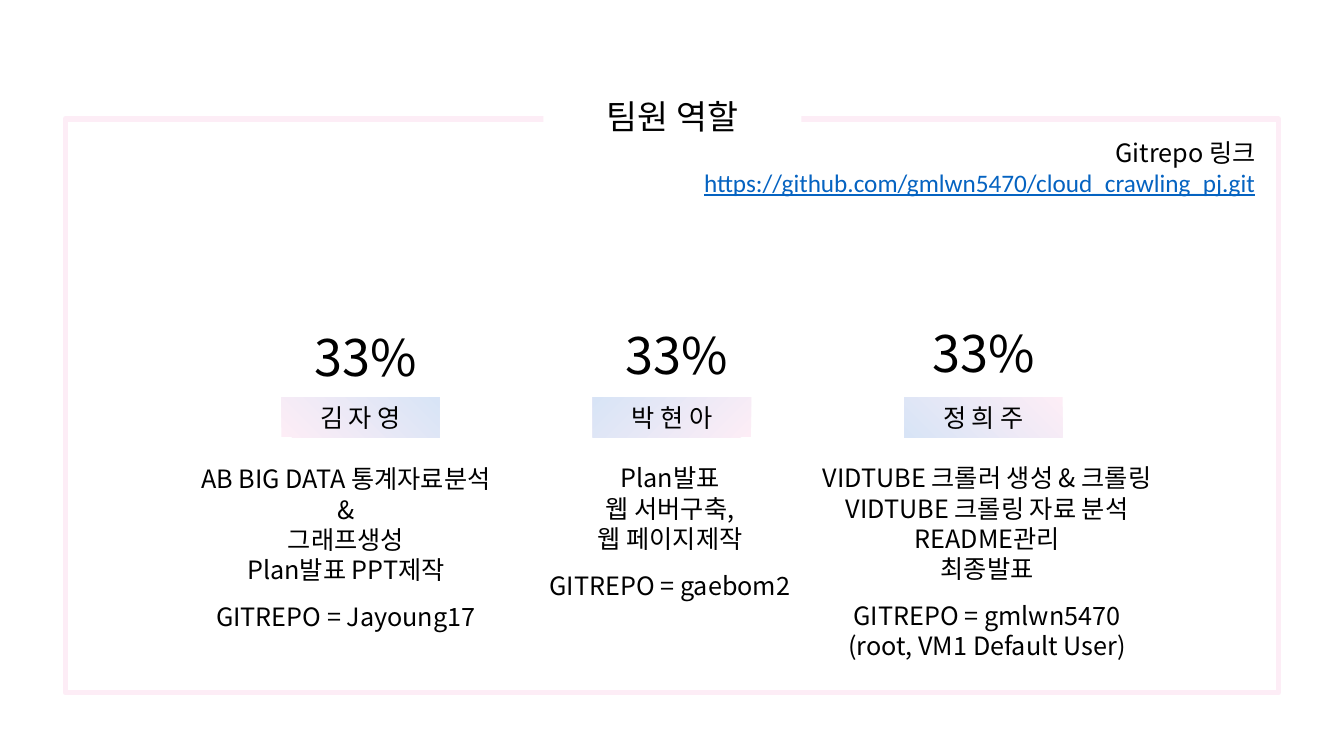
import pptx
import pptx.util
import pptx.dml.color
import pptx.enum.shapes
import pptx.enum.text
import pptx.oxml
import pptx.oxml.ns

Inches = pptx.util.Inches
Pt = pptx.util.Pt
RGB = pptx.dml.color.RGBColor.from_string
RECT = pptx.enum.shapes.MSO_SHAPE.RECTANGLE
ALIGN = pptx.enum.text.PP_ALIGN
ANCHOR = pptx.enum.text.MSO_ANCHOR

FONT = "Noto Sans CJK KR"
LATIN = "Calibri"
COLORS = {"text": "000000", "white": "FFFFFF", "pink": "FDEDF6",
          "blue": "D8E4F6", "link": "0563C1"}

MEMBERS = [
    {"name": "김 자 영", "angle": 45,
     "share": (2.79, 3.05), "role": (1.47, 4.55, 3.92, 1.78),
     "tasks": ["AB BIG DATA 통계자료분석", "&", "그래프생성", "Plan발표 PPT제작"],
     "account": ["GITREPO = Jayoung17"]},
    {"name": "박 현 아", "angle": 135,
     "share": (5.88, 3.03), "role": (5.29, 4.54, 2.71, 1.48),
     "tasks": ["Plan발표", "웹 서버구축,", "웹 페이지제작"],
     "account": ["GITREPO = gaebom2"]},
    {"name": "정 희 주", "angle": 225,
     "share": (8.92, 3.01), "role": (7.95, 4.54, 3.68, 2.12),
     "tasks": ["VIDTUBE 크롤러 생성 & 크롤링", "VIDTUBE 크롤링 자료 분석",
               "README관리", "최종발표"],
     "account": ["GITREPO = gmlwn5470", "(root, VM1 Default User)"]},
]


def style(p, size, align, color="text", font=FONT):
    p.alignment = align
    p.font.size = Pt(size)
    p.font.name = font
    p.font.color.rgb = RGB(COLORS[color])
    ea = pptx.oxml.parse_xml(
        f'<a:ea {pptx.oxml.ns.nsdecls("a")} typeface="{font}"/>')
    p.font._element.find(pptx.oxml.ns.qn("a:latin")).addnext(ea)


def write(sp, lines, size, align=ALIGN.CENTER, anchor=ANCHOR.TOP):
    tf = sp.text_frame
    tf.word_wrap = True
    tf.vertical_anchor = anchor
    for i, line in enumerate(lines):
        p = tf.paragraphs[0] if i == 0 else tf.add_paragraph()
        p.add_run().text = line
        style(p, size, align)
    return tf.paragraphs


def add_text(slide, box, lines, size, **kw):
    sp = slide.shapes.add_textbox(*map(Inches, box))
    return write(sp, lines, size, **kw)


def add_rect(slide, box):
    sp = slide.shapes.add_shape(RECT, *map(Inches, box))
    sp.shadow.inherit = False
    sp.line.fill.background()
    return sp


def add_frame(slide, x, y, w, h):
    sp = add_rect(slide, (x, y, w, h))
    sp.fill.background()
    sp.line.color.rgb = RGB(COLORS["pink"])
    sp.line.width = Pt(4)
    title = add_rect(slide, (x + 4.74, y - 0.28, 2.56, 0.5))
    title.fill.solid()
    title.fill.fore_color.rgb = RGB(COLORS["white"])
    write(title, ["팀원 역할"], 24, anchor=ANCHOR.MIDDLE)


def add_repository(slide, x, y, w, h):
    ps = add_text(slide, (x, y, w, h),
                  ["Gitrepo 링크", "https://github.com/gmlwn5470/cloud_crawling_pj.git"],
                  18, align=ALIGN.RIGHT)
    url = ps[1]
    url.font.name = LATIN
    url.font.color.rgb = RGB(COLORS["link"])
    url.font.underline = True


def add_member(slide, x, y, w, h, member):
    sp = add_rect(slide, (x, y, w, h))
    sp.fill.gradient()
    sp.fill.gradient_angle = member["angle"]
    for stop, key, pos in zip(sp.fill.gradient_stops, ("pink", "blue"), (0, 1)):
        stop.color.rgb = RGB(COLORS[key])
        stop.position = pos
    write(sp, [member["name"]], 18, anchor=ANCHOR.MIDDLE)
    add_text(slide, (*member["share"], 1.67, 0.97), ["33%"], 36, anchor=ANCHOR.MIDDLE)
    tasks = member["tasks"]
    ps = add_text(slide, member["role"], tasks + member["account"], 18)
    ps[len(tasks)].space_before = Pt(12)


def main():
    prs = pptx.Presentation()
    prs.slide_width = Inches(13.33)
    prs.slide_height = Inches(7.5)
    slide = prs.slides.add_slide(prs.slide_layouts[6])
    add_frame(slide, 0.65, 1.18, 12.03, 5.69)
    for i, member in enumerate(MEMBERS):
        add_member(slide, 2.79 + 3.09 * i, 3.94, 1.57, 0.4, member)
    add_repository(slide, 5.88, 1.31, 6.67, 0.71)
    prs.save("out.pptx")


if __name__ == "__main__":
    main()
